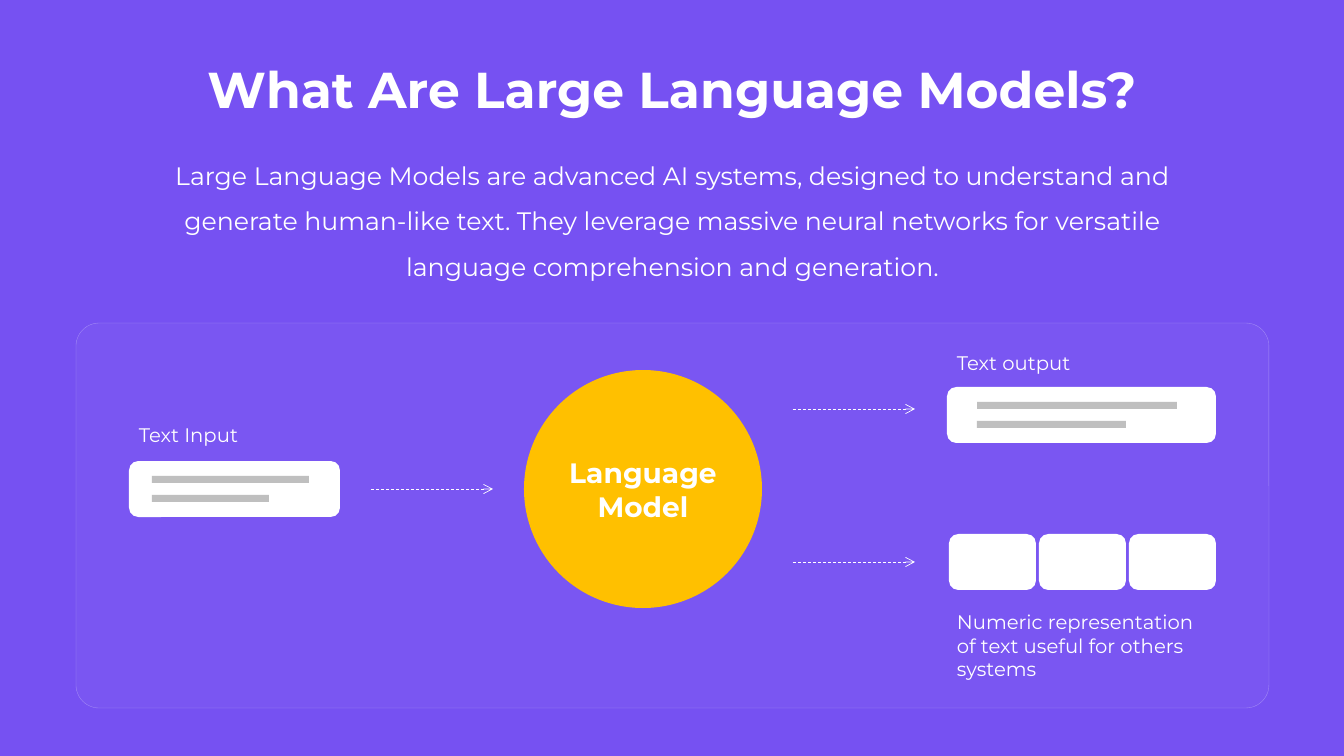
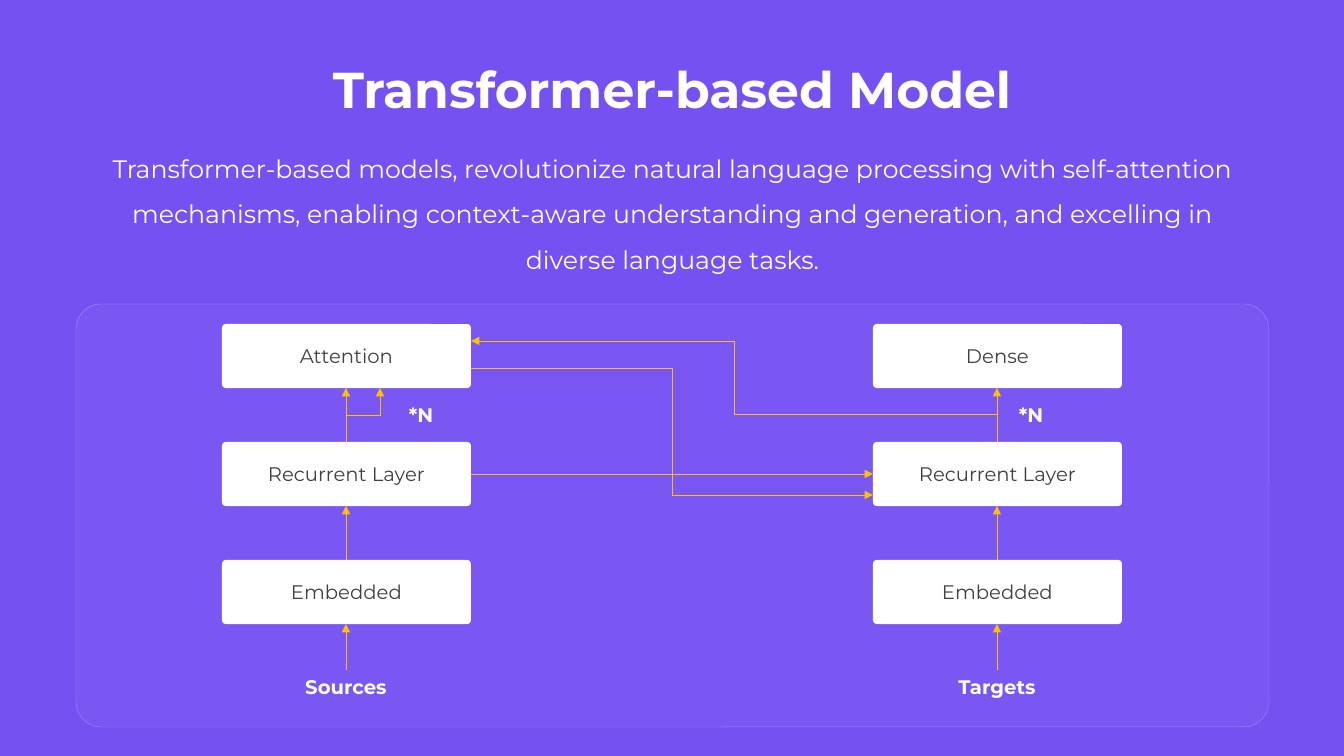
from lxml import etree
from pptx import Presentation
from pptx.dml.color import RGBColor
from pptx.enum.dml import MSO_LINE
from pptx.enum.shapes import MSO_CONNECTOR, MSO_SHAPE
from pptx.enum.text import MSO_ANCHOR, MSO_AUTO_SIZE, PP_ALIGN
from pptx.oxml.ns import qn
from pptx.util import Pt

PX = 914400 * 10 // 1008  # one px in EMU, 100.8 px to the inch
FONT = "Montserrat"
PURPLE, WHITE, AMBER, GREY, DARK = "7651F2", "FFFFFF", "FFC000", "BFBFBF", "404040"
ROUND, RECT, OVAL = MSO_SHAPE.ROUNDED_RECTANGLE, MSO_SHAPE.RECTANGLE, MSO_SHAPE.OVAL
STRAIGHT, ELBOW = MSO_CONNECTOR.STRAIGHT, MSO_CONNECTOR.ELBOW
LEFT, CENTER = PP_ALIGN.LEFT, PP_ALIGN.CENTER
TOP, MIDDLE = MSO_ANCHOR.TOP, MSO_ANCHOR.MIDDLE
rgb = RGBColor.from_string


def box(s, kind, at, fill=None, text="", size=14, color=WHITE, bold=False,
        align=CENTER, adj=None):
    """Add a preset shape, or a text box when kind is None."""
    at = [v * PX for v in at]
    if kind is None:
        sp = s.shapes.add_textbox(*at)
    else:
        sp = s.shapes.add_shape(kind, *at)
        sp.shadow.inherit = False
        sp.fill.solid()
        sp.fill.fore_color.rgb = rgb(fill)
        sp.line.fill.background()
        if adj is not None:
            sp.adjustments[0] = adj
    if text:
        tf = sp.text_frame
        tf.word_wrap = True
        tf.vertical_anchor = TOP if kind is None else MIDDLE
        if kind == OVAL:
            tf.margin_left = tf.margin_right = 0
        p = tf.paragraphs[0]
        p.alignment = align
        r = p.add_run()
        r.text = text
        r.font.name, r.font.size, r.font.bold = FONT, Pt(size), bold
        r.font.color.rgb = rgb(color)
    return sp


def arrow(s, start, end, color, head, kind=STRAIGHT, dash=None):
    """Add a thin connector with an arrowhead at its end."""
    c = s.shapes.add_connector(kind, *[v * PX for v in (*start, *end)])
    c.line.color.rgb = rgb(color)
    c.line.width = Pt(0.5)
    if dash is not None:
        c.line.dash_style = dash
    spPr = c._element.spPr
    etree.SubElement(spPr.find(qn("a:ln")), qn("a:tailEnd"), type=head)
    etree.SubElement(spPr, qn("a:effectLst"))
    return c


prs = Presentation()
prs.slide_width, prs.slide_height = 1344 * PX, 756 * PX
background = prs.slide_master.background.fill
background.solid()
background.fore_color.rgb = rgb(PURPLE)

# Shared frame: title, introduction and translucent panel
frames = [
    ("What Are Large Language Models?",
     "Large Language Models are advanced AI systems, designed to understand and "
     "generate human-like text. They leverage massive neural networks for "
     "versatile language comprehension and generation.",
     (127, 140, 1091, 142), (76, 323, 1193, 385)),
    ("Transformer-based Model",
     "Transformer-based models, revolutionize natural language processing with "
     "self-attention mechanisms, enabling context-aware understanding and "
     "generation, and excelling in diverse language tasks.",
     (90, 133, 1165, 142), (76, 304, 1193, 423)),
]
slides = []
for title, intro, intro_at, panel_at in frames:
    s = prs.slides.add_slide(prs.slide_layouts[1])
    slides.append(s)
    for sp, text, at, size, spacing in (
            (s.shapes.title, title, (0, 53, 1344, 72), 36, 1.0),
            (s.placeholders[1], intro, intro_at, 18, 1.5)):
        sp.left, sp.top, sp.width, sp.height = [v * PX for v in at]
        tf = sp.text_frame
        tf.auto_size = MSO_AUTO_SIZE.NONE
        tf.vertical_anchor = TOP
        p = tf.paragraphs[0]
        pPr = p._p.get_or_add_pPr()
        pPr.set("marL", "0")
        pPr.set("indent", "0")
        etree.SubElement(pPr, qn("a:buNone"))
        p.alignment, p.line_spacing, p.space_before = CENTER, spacing, Pt(0)
        r = p.add_run()
        r.text = text
        r.font.name, r.font.size, r.font.bold = FONT, Pt(size), size == 36
        r.font.color.rgb = rgb(WHITE)

    panel = box(s, ROUND, panel_at, WHITE, adj=0.06)
    panel.line.color.rgb = rgb(WHITE)
    panel.line.width = Pt(0.25)
    colors = panel._element.spPr.iter(qn("a:srgbClr"))
    for color, alpha in zip(list(colors), ("3000", "33000")):  # fill, line
        etree.SubElement(color, qn("a:alpha"), val=alpha)

# Slide 1: input, model and outputs
s = slides[0]
box(s, OVAL, (524, 370, 238, 238), AMBER, "Language Model", 20, bold=True)

# Text cards, each with a long and a short grey bar
for x, y, w, inset, bars in ((129, 461, 211, 23, (157, 117)),
                             (947, 387, 269, 30, (200, 149))):
    box(s, ROUND, (x, y, w, 56), WHITE)
    for i, bar in enumerate(bars):
        box(s, RECT, (x + inset, y + 15 + 19 * i, bar, 7), GREY)

# Numeric cells
for i in range(3):
    box(s, ROUND, (949 + 90 * i, 534, 87, 56), WHITE)

for x, y in ((793, 409), (793, 562), (371, 489)):
    arrow(s, (x, y), (x + 122, y), WHITE, "arrow", dash=MSO_LINE.DASH)

for text, at in (
        ("Text output", (947, 346, 198, 34)),
        ("Numeric representation of text useful for others systems",
         (947, 605, 269, 82)),
        ("Text Input", (129, 418, 198, 34))):
    box(s, None, at, text=text, align=LEFT)

# Slide 2: encoder and decoder stacks
s = slides[1]
BOX_W, BOX_H, TOP_Y, STEP = 249, 64, 324, 118
LEFT_X, RIGHT_X = 222, 873
left_edge = LEFT_X + BOX_W
left_mid, right_mid = LEFT_X + BOX_W // 2, RIGHT_X + BOX_W // 2

for x, top_layer, source, gap in ((LEFT_X, "Attention", "Sources", 53),
                                  (RIGHT_X, "Dense", "Targets", 12)):
    mid = x + BOX_W // 2
    for i, layer in enumerate((top_layer, "Recurrent Layer", "Embedded")):
        y = TOP_Y + STEP * i
        box(s, ROUND, (x, y, BOX_W, BOX_H), WHITE, layer, color=DARK, adj=0.06)
        arrow(s, (mid, min(y + STEP, 670)), (mid, y + BOX_H), AMBER, "triangle")
    box(s, None, (mid - 100, 670, 200, 34), text=source, bold=True)
    box(s, None, (mid + gap, 398, 49, 34), text="*N", bold=True, align=LEFT)

# Links between the stacks
arrow(s, (left_edge, 474), (RIGHT_X, 474), AMBER, "triangle")
arrow(s, (left_edge, 368), (RIGHT_X, 495), AMBER, "triangle", ELBOW)
arrow(s, (right_mid, 414), (left_edge, 341), AMBER, "triangle", ELBOW)

# Second input of Attention: an elbow turned upright
branch = arrow(s, (left_mid + 44, 432), (left_mid - 10, 398), AMBER, "triangle", ELBOW)
branch._element.spPr.find(qn("a:xfrm")).set("rot", "5400000")

prs.save("out.pptx")
